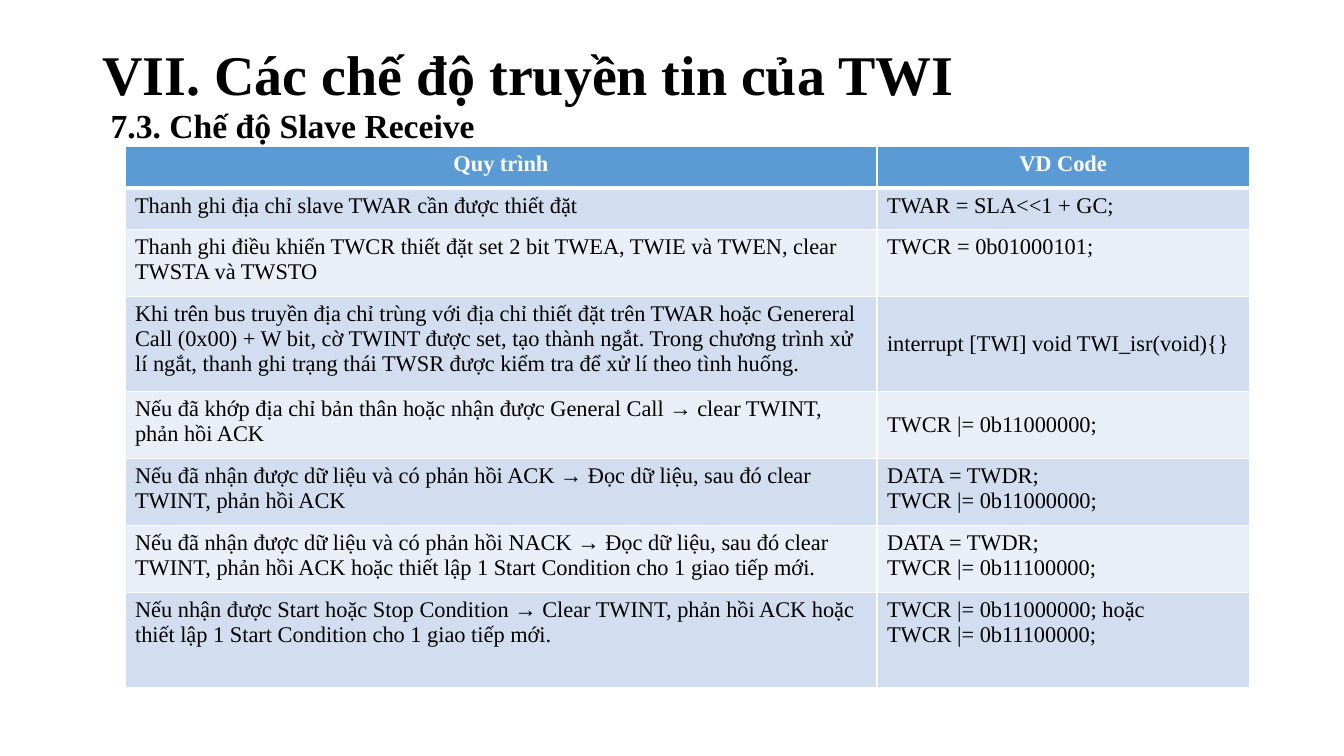
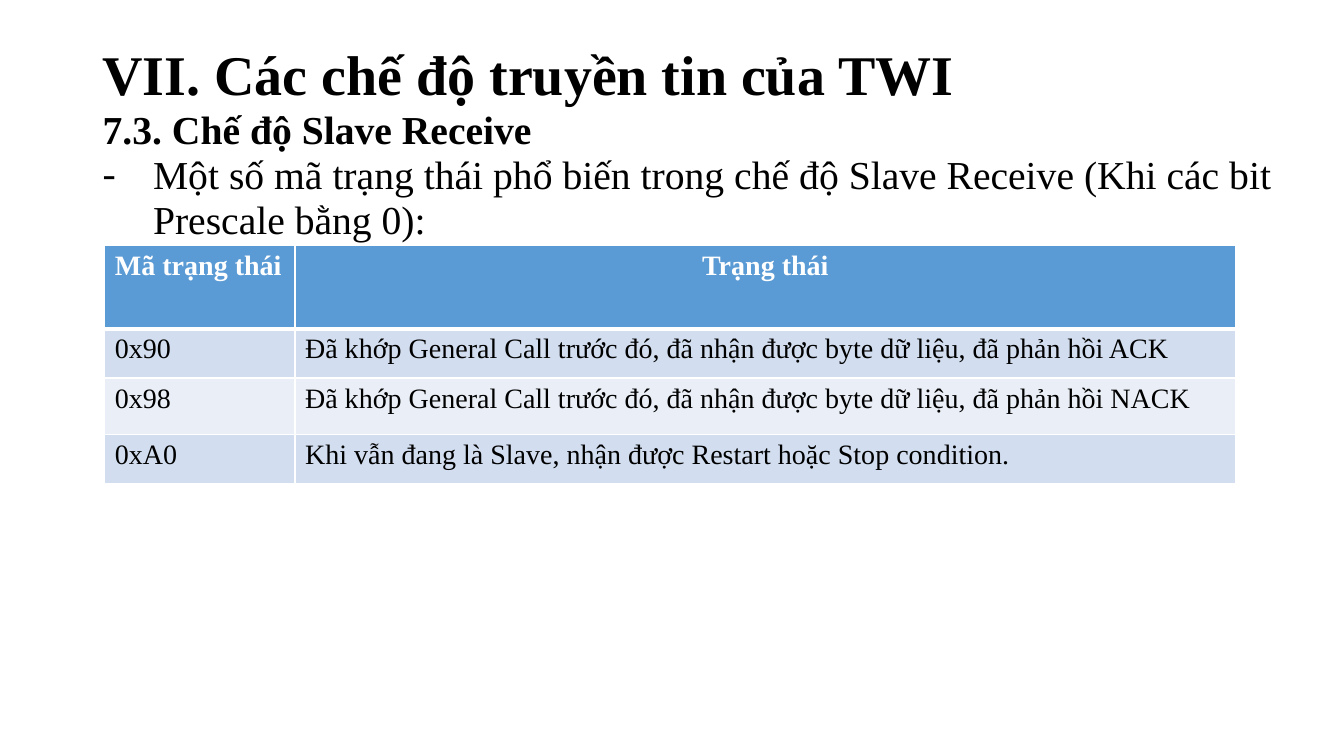
from lxml import etree
from pptx import Presentation
from pptx.dml.color import RGBColor
from pptx.enum.text import MSO_ANCHOR, PP_ALIGN
from pptx.oxml.ns import qn
from pptx.util import Emu, Inches, Pt

TOP, MIDDLE = MSO_ANCHOR.TOP, MSO_ANCHOR.MIDDLE
LEFT, CENTER, JUSTIFY = PP_ALIGN.LEFT, PP_ALIGN.CENTER, PP_ALIGN.JUSTIFY

WIDTH, HEIGHT = Inches(13.33), Inches(7.5)
FONT = "Times New Roman"
BLACK, WHITE = "000000", "FFFFFF"
HEADER_FILL = "5B9BD5"
BAND_FILLS = ("D2DEEF", "EAEFF7")
THIN, THICK = 1, 3

TITLE = "VII. Các chế độ truyền tin của TWI"
SECTION = "7.3. Chế độ Slave Receive"
TITLE_AREA = (6.9, 5.33, 88.6, 9.73)

ONE_LINE, TWO_LINES, TALL = 5.5, 8.87, 12.57

PROCESS_ROWS = [
    (ONE_LINE, TOP, "Quy trình", "VD Code"),
    (ONE_LINE, TOP, "Thanh ghi địa chỉ slave TWAR cần được thiết đặt",
     "TWAR = SLA<<1 + GC;"),
    (TWO_LINES, TOP,
     "Thanh ghi điều khiển TWCR thiết đặt set 2 bit TWEA, TWIE và TWEN, "
     "clear TWSTA và TWSTO",
     "TWCR = 0b01000101;"),
    (TALL, MIDDLE,
     "Khi trên bus truyền địa chỉ trùng với địa chỉ thiết đặt trên TWAR hoặc "
     "Genereral Call (0x00) + W bit, cờ TWINT được set, tạo thành ngắt. Trong "
     "chương trình xử lí ngắt, thanh ghi trạng thái TWSR được kiểm tra để xử lí "
     "theo tình huống.",
     "interrupt [TWI] void TWI_isr(void){}"),
    (TWO_LINES, MIDDLE,
     "Nếu đã khớp địa chỉ bản thân hoặc nhận được General Call → clear TWINT, "
     "phản hồi ACK",
     "TWCR |= 0b11000000;"),
    (TWO_LINES, TOP,
     "Nếu đã nhận được dữ liệu và có phản hồi ACK → Đọc dữ liệu, sau đó clear "
     "TWINT, phản hồi ACK",
     "DATA = TWDR;\nTWCR |= 0b11000000;"),
    (TWO_LINES, TOP,
     "Nếu đã nhận được dữ liệu và có phản hồi NACK → Đọc dữ liệu, sau đó clear "
     "TWINT, phản hồi ACK hoặc thiết lập 1 Start Condition cho 1 giao tiếp mới.",
     "DATA = TWDR;\nTWCR |= 0b11100000;"),
    (TALL, TOP,
     "Nếu nhận được Start hoặc Stop Condition → Clear TWINT, phản hồi ACK hoặc "
     "thiết lập 1 Start Condition cho 1 giao tiếp mới.",
     "TWCR |= 0b11000000; hoặc\nTWCR |= 0b11100000;"),
]

STATUS_ROWS = [
    (11.1, TOP, "Mã trạng thái", "Trạng thái"),
    (6.5, TOP, "0x90",
     "Đã khớp General Call trước đó, đã nhận được byte dữ liệu, đã phản hồi ACK"),
    (7.5, TOP, "0x98",
     "Đã khớp General Call trước đó, đã nhận được byte dữ liệu, đã phản hồi NACK"),
    (6.5, TOP, "0xA0",
     "Khi vẫn đang là Slave, nhận được Restart hoặc Stop condition."),
]


def color(value):
    """Turn a hex string into a colour."""
    return RGBColor.from_string(value)


def across(percent):
    """Return a share of the slide's width."""
    return Emu(round(WIDTH * percent / 100))


def down(percent):
    """Return a share of the slide's height."""
    return Emu(round(HEIGHT * percent / 100))


def place(area):
    """Turn left, top, width and height in percent into lengths."""
    left, top, width, height = area
    return across(left), down(top), across(width), down(height)


def write(para, text, size, hue=BLACK, bold=False, **layout):
    """Put one formatted span into a paragraph."""
    for name, value in layout.items():
        setattr(para, name, value)
    span = para.add_run()
    span.text = text
    look = {"name": FONT, "size": Pt(size), "bold": bold}
    for name, value in look.items():
        setattr(span.font, name, value)
    span.font.color.rgb = color(hue)


def add_box(page, area, anchor=TOP):
    """Add a wrapping text box and return its text frame."""
    frame = page.shapes.add_textbox(*place(area)).text_frame
    frame.word_wrap = True
    frame.vertical_anchor = anchor
    return frame


def add_dash(para, indent):
    """Give a paragraph a hanging dash bullet."""
    props = para._p.get_or_add_pPr()
    props.set("marL", str(indent))
    props.set("indent", str(-indent))
    etree.SubElement(props, qn("a:buFont"), typeface=FONT)
    etree.SubElement(props, qn("a:buChar"), char="-")


def add_borders(cell, top, bottom):
    """Draw white lines round a cell, before its fill is set."""
    props = cell._tc.get_or_add_tcPr()
    widths = {"lnL": THIN, "lnR": THIN, "lnT": top, "lnB": bottom}
    for name, width in widths.items():
        line = etree.SubElement(props, qn(f"a:{name}"), w=str(Pt(width)))
        fill = etree.SubElement(line, qn("a:solidFill"))
        etree.SubElement(fill, qn("a:srgbClr"), val=WHITE)


def fill_cell(cell, text, row, size, align):
    """Style one table cell by its row and write its lines."""
    header = row == 0
    add_borders(cell, THICK if row == 1 else THIN, THICK if header else THIN)
    cell.fill.solid()
    cell.fill.fore_color.rgb = color(
        HEADER_FILL if header else BAND_FILLS[(row - 1) % 2])
    frame = cell.text_frame
    for number, line in enumerate(text.split("\n")):
        para = frame.add_paragraph() if number else frame.paragraphs[0]
        write(para, line, size, WHITE if header else BLACK, header,
              alignment=align if header else LEFT)


def add_grid(page, corner, columns, rows, size, header_aligns):
    """Add a banded table; the last column takes each row's anchor."""
    heights = [row[0] for row in rows]
    area = (*corner, sum(columns), sum(heights))
    table = page.shapes.add_table(len(rows), len(columns), *place(area)).table
    for column, width in zip(table.columns, columns):
        column.width = across(width)
    for number, (height, anchor, *texts) in enumerate(rows):
        table.rows[number].height = down(height)
        for index, text in enumerate(texts):
            cell = table.cell(number, index)
            fill_cell(cell, text, number, size, header_aligns[index])
        cell.vertical_anchor = anchor


def add_page(deck):
    """Add a blank slide with the shared title."""
    page = deck.slides.add_slide(deck.slide_layouts[6])
    frame = add_box(page, TITLE_AREA, MIDDLE)
    write(frame.paragraphs[0], TITLE, 40, bold=True, line_spacing=0.9)
    return page


def build_process(deck):
    """Build the slide with the steps and their code."""
    page = add_page(deck)
    frame = add_box(page, (7.5, 13.2, 84.8, 6.67))
    write(frame.paragraphs[0], SECTION, 24, bold=True)
    add_grid(page, (9.3, 19.4), (55.95, 27.7), PROCESS_ROWS, 16,
             (CENTER, CENTER))


def build_status(deck):
    """Build the slide with the status codes."""
    page = add_page(deck)
    frame = add_box(page, (6.9, 13.75, 88.6, 18))
    layout = {"alignment": JUSTIFY, "line_spacing": 0.94}
    write(frame.paragraphs[0], SECTION, 28.3, bold=True, **layout)
    para = frame.add_paragraph()
    add_dash(para, Inches(0.5))
    write(para, "Một số mã trạng thái phổ biến trong chế độ Slave Receive "
          "(Khi các bit Prescale bằng 0):", 28.3, **layout)
    add_grid(page, (7.8, 32.4), (14.15, 70), STATUS_ROWS, 20, (LEFT, CENTER))


def main():
    """Build and save the deck."""
    deck = Presentation()
    deck.slide_width, deck.slide_height = WIDTH, HEIGHT
    build_process(deck)
    build_status(deck)
    deck.save("out.pptx")


if __name__ == "__main__":
    main()
